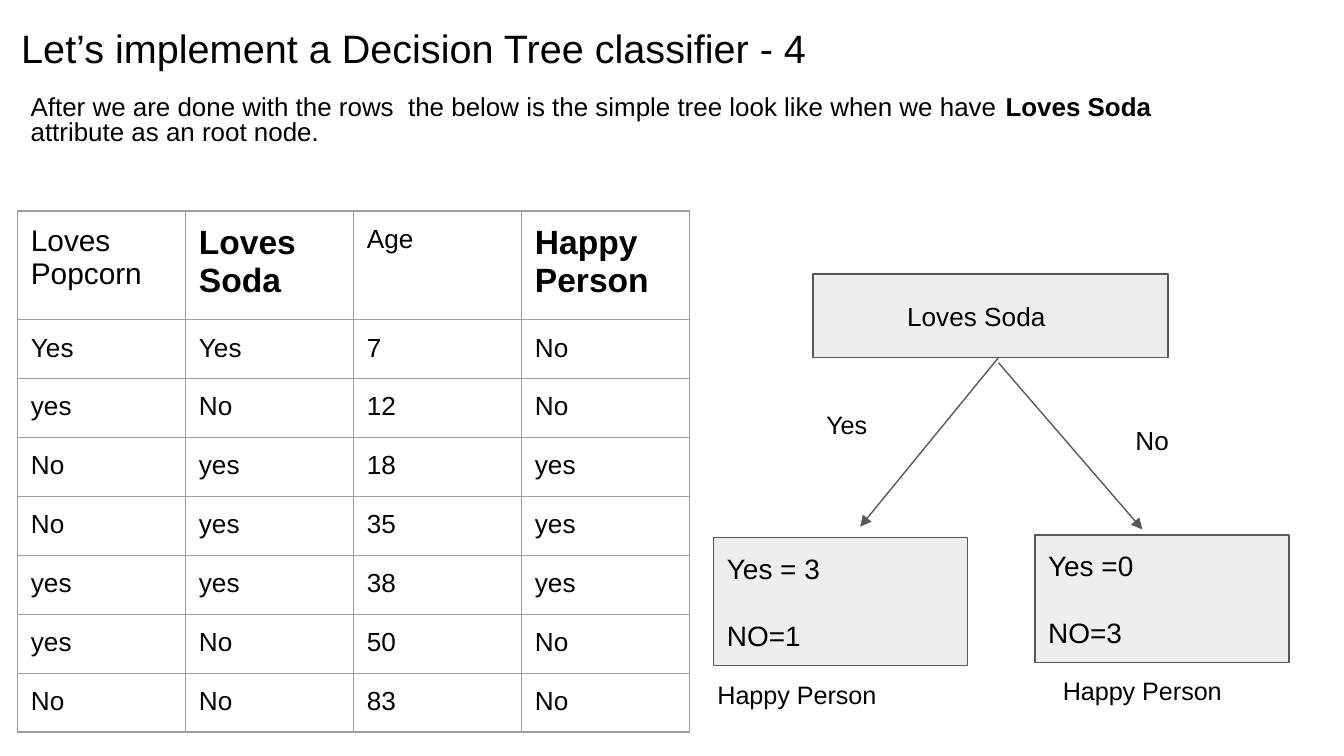
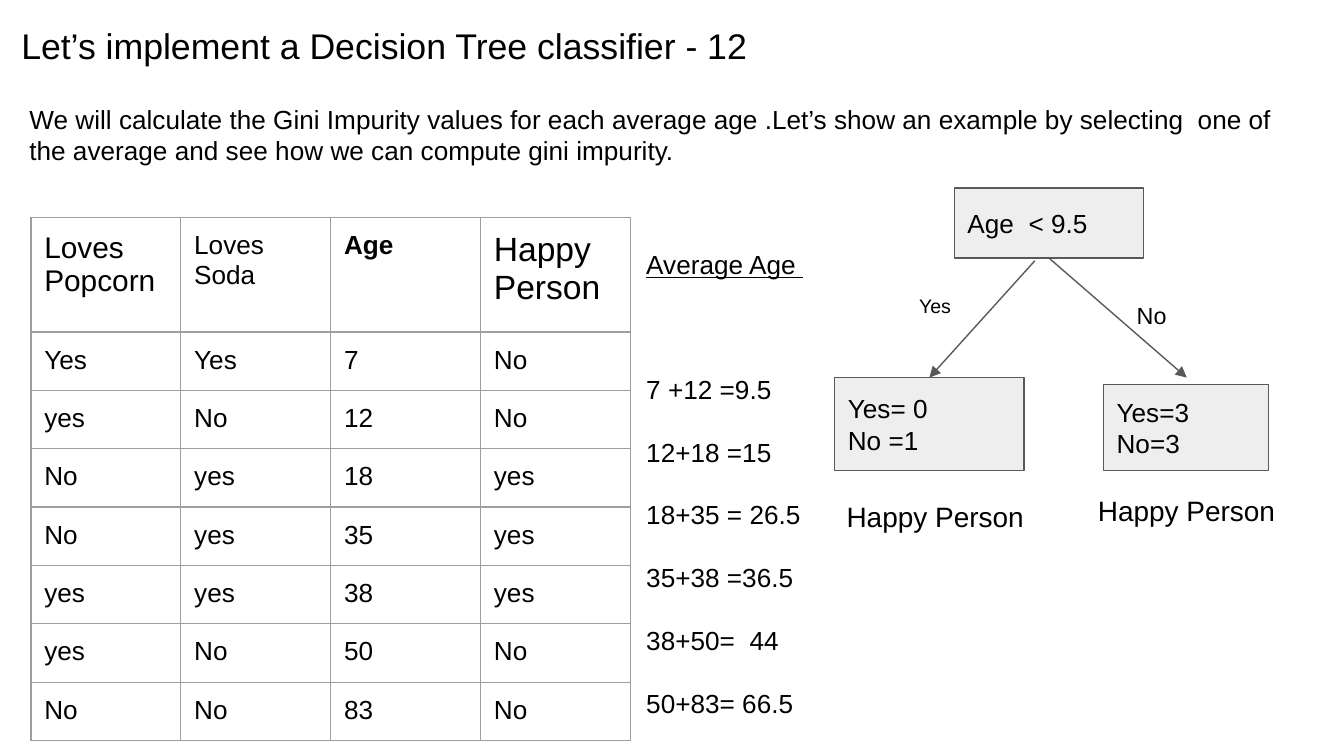
from lxml.etree import SubElement
from pptx import Presentation
from pptx.dml.color import RGBColor
from pptx.enum.shapes import MSO_CONNECTOR, MSO_SHAPE
from pptx.enum.text import MSO_ANCHOR, PP_ALIGN
from pptx.oxml.ns import qn
from pptx.util import Pt

PX = 9144  # 100 px to the inch
INSET = 10
FONT = "Arial"
INK, NODE_FILL, NODE_LINE, GRID = "000000", "EEEEEE", "595959", "9E9E9E"
LINE_WIDTH = Pt(0.75)
BOTTOM, TOP = 2, 0

HEADERS = ("Loves Popcorn", "Loves Soda", "Age", "Happy Person")
PEOPLE = (
    ("Yes", "Yes", "7", "No"),
    ("yes", "No", "12", "No"),
    ("No", "yes", "18", "yes"),
    ("No", "yes", "35", "yes"),
    ("yes", "yes", "38", "yes"),
    ("yes", "No", "50", "No"),
    ("No", "No", "83", "No"),
)
AVERAGES = ("7 +12 =9.5", "12+18 =15", "18+35 = 26.5",
            "35+38 =36.5", "38+50=  44", "50+83= 66.5")


def px(*values):
    return [v * PX for v in values]


def color(value):
    return RGBColor.from_string(value)


def write(tf, paragraphs, size=14, bold=False, spacing=None, gap=0,
          anchor=MSO_ANCHOR.TOP, left=INSET):
    """Fill a frame; a paragraph is a string or a list of (text, bold) runs."""
    tf.word_wrap = True
    tf.vertical_anchor = anchor
    tf.margin_left = left * PX
    tf.margin_top = tf.margin_right = tf.margin_bottom = INSET * PX
    for i, content in enumerate(paragraphs):
        p = tf.paragraphs[0] if i == 0 else tf.add_paragraph()
        p.alignment = PP_ALIGN.LEFT
        if spacing:
            p.line_spacing = spacing
        if i and gap:
            p.space_before = Pt(gap)
        runs = [(content, bold)] if isinstance(content, str) else content
        for text, is_bold in runs:
            r = p.add_run()
            r.text = text
            r.font.name = FONT
            r.font.size = Pt(size)
            r.font.bold = is_bold
            r.font.color.rgb = color(INK)


def add_text(s, box, *paragraphs, **fmt):
    tf = s.shapes.add_textbox(*px(*box)).text_frame
    write(tf, paragraphs, **fmt)
    return tf


def add_title(s, number, box, size):
    add_text(s, box, f"Let’s implement a Decision Tree classifier - {number}", size=size)


def add_node(s, box, *paragraphs, shape=MSO_SHAPE.RECTANGLE, **fmt):
    sp = s.shapes.add_shape(shape, *px(*box))
    sp.shadow.inherit = False
    sp.fill.solid()
    sp.fill.fore_color.rgb = color(NODE_FILL)
    sp.line.color.rgb = color(NODE_LINE)
    sp.line.width = LINE_WIDTH
    write(sp.text_frame, paragraphs, **fmt)
    return sp


def add_arrow(s, start, end, parent=None, child=None):
    """Draw a branch, joined to the parent's bottom or the child's top."""
    c = s.shapes.add_connector(MSO_CONNECTOR.STRAIGHT, *px(*start, *end))
    if parent is not None:
        c.begin_connect(parent, BOTTOM)
    if child is not None:
        c.end_connect(child, TOP)
    c.line.color.rgb = color(NODE_LINE)
    c.line.width = LINE_WIDTH
    line = c._element.spPr.find(qn("a:ln"))
    SubElement(line, qn("a:tailEnd"), type="triangle")
    SubElement(c._element.spPr, qn("a:effectLst"))


def add_borders(cell):
    tc_pr = cell._tc.get_or_add_tcPr()
    for side in ("lnL", "lnR", "lnT", "lnB"):
        ln = SubElement(tc_pr, qn(f"a:{side}"), w=str(int(LINE_WIDTH)))
        fill = SubElement(ln, qn("a:solidFill"))
        SubElement(fill, qn("a:srgbClr"), val=GRID)


def add_people_table(s, box, header_height, header_formats):
    """Share the width among the columns and the rest of the height among the people."""
    width, height = px(*box[2:])
    table = s.shapes.add_table(len(PEOPLE) + 1, len(HEADERS), *px(*box)).table
    table.first_row = table.horz_banding = False
    row_height = (height - header_height * PX) // len(PEOPLE)
    for col in table.columns:
        col.width = width // len(HEADERS)
    for i, values in enumerate((HEADERS, *PEOPLE)):
        table.rows[i].height = row_height if i else header_height * PX
        for j, value in enumerate(values):
            cell = table.cell(i, j)
            cell.margin_left = cell.margin_right = INSET * PX
            cell.margin_top = cell.margin_bottom = INSET * PX
            add_borders(cell)
            cell.fill.background()
            text_size, bold = (14, False) if i else header_formats[j]
            write(cell.text_frame, [value], size=text_size, bold=bold)


def soda_slide(s):
    add_title(s, 4, (6, 8, 987, 54), 21.2)
    add_people_table(s, (13, 157, 500, 388), 81,
                     ((16, False), (18, True), (14, False), (18, True)))
    add_text(s, (13, 62, 857, 54), [
        ("After we are done with the rows  the below is the simple tree "
         "look like when we have ", False),
        ("Loves Soda ", True),
        ("attribute as an root node.", False),
    ], size=13.9, spacing=0.8)
    add_node(s, (605, 204, 264, 62), "Loves Soda", anchor=MSO_ANCHOR.MIDDLE, left=70)
    add_arrow(s, (743, 266), (640, 392))
    add_arrow(s, (743, 270), (850, 394))
    add_text(s, (605, 300, 61, 38), "Yes", size=13.5, spacing=0.8)
    add_text(s, (835, 306, 61, 44), "No")
    add_node(s, (531, 400, 189, 95), "Yes = 3", "NO=1", size=15, gap=18)
    add_node(s, (770, 398, 189, 95), "Yes =0", "NO=3", size=15, gap=18)
    for box in ((524, 501, 176, 32), (781, 498, 200, 38)):
        add_text(s, box, "Happy Person", size=13.5, spacing=0.8)


def age_slide(s):
    add_title(s, 12, (6, 8, 932, 52), 19.1)
    add_text(s, (12, 67, 959, 74),
             "We will calculate the Gini Impurity values for each average age "
             ".Let’s show an example by selecting  one of the average and see "
             "how we can compute gini impurity.")
    root = add_node(s, (710, 140, 141, 52), "Age  < 9.5",
                    shape=MSO_SHAPE.FLOWCHART_PROCESS, anchor=MSO_ANCHOR.MIDDLE)
    yes_leaf = add_node(s, (621, 281, 141, 69), "Yes= 0", "No =1",
                        anchor=MSO_ANCHOR.MIDDLE)
    add_node(s, (821, 286, 123, 64), "Yes=3", "No=3", anchor=MSO_ANCHOR.MIDDLE)
    add_arrow(s, (770, 194), (690, 279), child=yes_leaf)
    add_arrow(s, (780, 192), (883, 281), parent=root)
    add_text(s, (674, 213, 48, 33), "Yes", size=10.5, spacing=0.9)
    add_text(s, (836, 217, 53, 33), "No", size=12.5, spacing=0.9)
    add_text(s, (620, 362, 158, 45), "Happy Person", size=15)
    add_text(s, (807, 362, 164, 44), "Happy Person", size=15, spacing=0.8)
    add_people_table(s, (23, 162, 446, 389), 85,
                     ((16, False), (14, False), (14, True), (18, False)))
    tf = add_text(s, (471, 175, 141, 376), "Average Age ", *AVERAGES, gap=16.8)
    heading, first_average = tf.paragraphs[:2]
    heading.runs[0].font.underline = True
    first_average.space_before = Pt(50)


def main():
    prs = Presentation()
    prs.slide_width = 1000 * PX
    prs.slide_height = prs.slide_width * 9 // 16
    blank = prs.slide_layouts[6]
    for build in (soda_slide, age_slide):
        build(prs.slides.add_slide(blank))
    prs.save("out.pptx")


if __name__ == "__main__":
    main()
